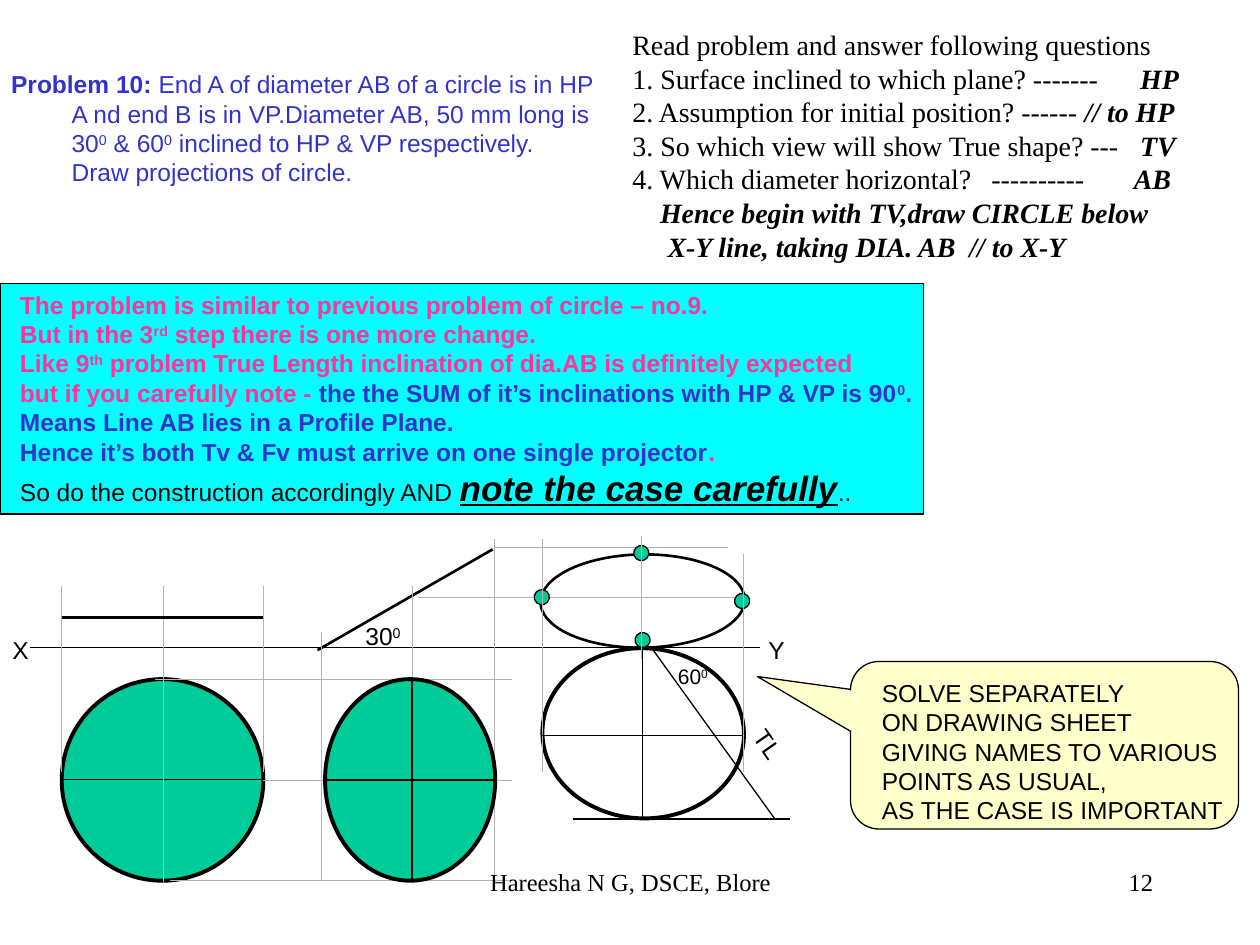
from lxml.etree import SubElement
from pptx import Presentation
from pptx.dml.color import RGBColor
from pptx.enum.shapes import MSO_CONNECTOR as Connector, MSO_SHAPE as Shape
from pptx.enum.text import PP_ALIGN as Align
from pptx.oxml.ns import qn
from pptx.util import Inches, Pt

BLACK = RGBColor(0x00, 0x00, 0x00)
WHITE = RGBColor(0xFF, 0xFF, 0xFF)
GREY = RGBColor(0xB2, 0xB2, 0xB2)
BLUE = RGBColor(0x33, 0x33, 0xCC)
PINK = RGBColor(0xFF, 0x33, 0x99)
CYAN = RGBColor(0x00, 0xFF, 0xFF)
GREEN = RGBColor(0x00, 0xCC, 0x99)
CREAM = RGBColor(0xFF, 0xFF, 0xCC)

SUPER = {"superscript": True}
ANSWER = {"bold": True, "italic": True}
NOTE_BLUE = {"color": BLUE}
PLAIN = {"color": BLACK, "bold": False}
STRESS = {"color": BLACK, "size": 20, "italic": True, "underline": True}

# Each paragraph is a list of runs: plain text or (text, format)
PROBLEM = [
    [("Problem 10: ", {"bold": True}), "End A of diameter AB of a circle is in HP"],
    ["A nd end B is in VP.Diameter AB, 50 mm long is"],
    ["30", ("0", SUPER), " & 60", ("0", SUPER), " inclined to HP & VP respectively."],
    ["Draw projections of circle."],
]
QUESTIONS = [
    ["Read problem and answer following questions"],
    ["1. Surface inclined to which plane? -------\t", ("HP", ANSWER)],
    ["2. Assumption for initial position? ------ ", ("// to HP", ANSWER)],
    ["3. So which view will show True shape? ---\t", ("TV", ANSWER)],
    ["4. Which diameter horizontal?\t----------\t", ("AB", ANSWER)],
    [("Hence begin with TV,draw CIRCLE below", ANSWER)],
    [("X-Y line, taking DIA. AB  // to X-Y", ANSWER)],
]
NOTE = [
    ["The problem is similar to previous problem of circle – no.9."],
    ["But in the 3", ("rd", SUPER), " step there is one more change."],
    ["Like 9", ("th", SUPER),
     " problem True Length inclination of dia.AB is definitely expected"],
    ["but if you carefully note - ",
     ("the the SUM of it’s inclinations with HP & VP is 90", NOTE_BLUE),
     ("0", NOTE_BLUE | SUPER), (".", NOTE_BLUE)],
    [("Means Line AB lies in a Profile Plane.", NOTE_BLUE)],
    [("Hence it’s both Tv & Fv must arrive on one single projector", NOTE_BLUE), "."],
    [("So do the construction accordingly AND ", PLAIN),
     ("note the case carefully", STRESS), ("..", PLAIN)],
]
ADVICE = [["SOLVE SEPARATELY"], ["ON DRAWING SHEET"], ["GIVING NAMES TO VARIOUS"],
          ["POINTS AS USUAL,"], ["AS THE CASE IS IMPORTANT"]]

# Levels shared by the views
XY, TOP, MIDDLE, BOTTOM = 5.14, 5.39, 6.19, 6.99


def add_run(paragraph, text, style):
    run = paragraph.add_run()
    run.text = text
    values = {"name": style["name"], "size": Pt(style["size"])}
    values |= {key: style[key] for key in ("bold", "italic", "underline") if key in style}
    for key, value in values.items():
        setattr(run.font, key, value)
    run.font.color.rgb = style["color"]
    if style.get("superscript"):
        run.font._element.set("baseline", "30000")


def add_text(shapes, box, paragraphs, align=Align.LEFT, wrap=False, rotation=0,
             indents=None, tabs=None, **formats):
    """Place a text box; indents and tabs map a paragraph's index to inches."""
    base = {"name": "Arial", "size": 14, "color": BLACK} | formats
    textbox = shapes.add_textbox(*map(Inches, box))
    textbox.rotation = rotation
    frame = textbox.text_frame
    frame.word_wrap = wrap
    for index, runs in enumerate(paragraphs):
        paragraph = frame.paragraphs[0] if index == 0 else frame.add_paragraph()
        paragraph.alignment = align
        properties = paragraph._p.get_or_add_pPr()
        if indents and index in indents:
            properties.set("marL", str(Inches(indents[index])))
            properties.set("indent", "0")
        if tabs and index in tabs:
            tab_list = SubElement(properties, qn("a:tabLst"))
            for position in tabs[index]:
                SubElement(tab_list, qn("a:tab"), pos=str(Inches(position)), algn="l")
        for run in runs:
            text, style = (run, {}) if isinstance(run, str) else run
            add_run(paragraph, text, base | style)


def add_figure(shapes, kind, box, fill, width=0.75, rotation=0):
    shape = shapes.add_shape(kind, *map(Inches, box))
    shape.shadow.inherit = False
    shape.fill.solid()
    shape.fill.fore_color.rgb = fill
    shape.line.color.rgb = BLACK
    shape.line.width = Pt(width)
    shape.rotation = rotation
    return shape


def add_lines(shapes, color, width, segments):
    for segment in segments:
        line = shapes.add_connector(Connector.STRAIGHT, *map(Inches, segment))
        line.line.color.rgb = color
        line.line.width = Pt(width)
        SubElement(line._element.spPr, qn("a:effectLst"))


def add_notes(shapes):
    note = shapes.add_group_shape().shapes
    add_figure(note, Shape.RECTANGLE, (0, 2.25, 7.33, 1.83), CYAN)
    add_text(note, (0.06, 2.25, 7.35, 1.84), NOTE, color=PINK, bold=True)

    advice = shapes.add_group_shape().shapes
    callout = add_figure(advice, Shape.ROUNDED_RECTANGULAR_CALLOUT,
                         (6.75, 5.25, 3.08, 1.33), CREAM)
    for index, value in enumerate((-0.74, -0.41, 0.17)):
        callout.adjustments[index] = value
    add_text(advice, (6.9, 5.33, 2.98, 1.27), ADVICE)


def add_first_views(shapes):
    """Circle parallel to HP, then the front view tilted by 30 degrees."""
    add_figure(shapes, Shape.OVAL, (0.49, TOP, 1.6, 1.6), GREEN, 2.25)
    add_lines(shapes, BLACK, 0.5, [(0.49, MIDDLE, 2.09, MIDDLE)])
    add_lines(shapes, GREY, 0.5, [(1.3, 5.4, 1.3, 7)])
    add_lines(shapes, BLACK, 0.75, [(0.24, XY, 6.03, XY)])
    add_lines(shapes, GREY, 0.5, [(x, bottom, x, 4.65) for x, bottom in
                                  ((0.49, 6.13), (2.09, 6.13), (1.3, TOP))])
    add_lines(shapes, BLACK, 1.5, [(0.49, 4.9, 2.09, 4.9), (2.52, 5.16, 3.91, 4.36)])
    # Projectors of the second view
    add_lines(shapes, GREY, 0.25, [(x, top, x, BOTTOM) for x, top in
                                   ((3.92, 4.28), (3.27, 4.65), (2.55, 5.02))])
    add_lines(shapes, GREY, 0.25, [(left, y, 4.06, y) for left, y in
                                   ((1.23, TOP), (2.09, MIDDLE), (1.35, BOTTOM))])
    add_figure(shapes, Shape.OVAL, (2.58, TOP, 1.35, 1.6), GREEN, 2.25)
    add_lines(shapes, BLACK, 0.75, [(3.27, TOP, 3.27, BOTTOM),
                                    (2.58, MIDDLE, 3.93, MIDDLE)])


def add_final_views(shapes):
    """Both views of the circle on one projector, with the true length."""
    add_figure(shapes, Shape.OVAL, (4.43, 5.02, 1.35, 1.6), WHITE, 2.25, 272.1)
    add_lines(shapes, GREY, 0.25, [(3.93, 4.34, 5.78, 4.34), (3.32, 4.74, 5.9, 4.74)])
    for left, top in ((4.24, 4.68), (5.04, 5.02), (5.83, 4.71), (5.03, 4.33)):
        add_figure(shapes, Shape.OVAL, (left, top, 0.12, 0.12), GREEN, rotation=12.2)
    add_lines(shapes, GREY, 0.25, [(4.3, 6.13, 4.3, 4.28), (5.9, 6.13, 5.9, 4.4)])
    add_lines(shapes, BLACK, 0.75, [(4.3, 5.84, 5.9, 5.84), (5.1, XY, 5.1, 6.5),
                                    (5.17, XY, 6.15, 6.5), (6.27, 6.5, 4.55, 6.5)])
    add_lines(shapes, GREY, 0.75, [(5.09, 4.25, 5.09, 5.23)])


def add_labels(shapes):
    add_text(shapes, (5.88, 5.74, 0.43, 0.34), [["TL"]], rotation=55)
    for left, letter in ((0, "X"), (6, "Y")):
        add_text(shapes, (left, 4.99, 0.33, 0.34), [[letter]])
    for box, angle, size in (((2.8, 4.88, 0.48, 0.34), "30", 14),
                             ((5.28, 5.22, 0.44, 0.3), "60", 12)):
        add_text(shapes, box, [[angle, ("0", SUPER)]], Align.CENTER, size=size)


def main():
    presentation = Presentation()
    presentation.slide_width, presentation.slide_height = Inches(10), Inches(7.5)
    slide = presentation.slides.add_slide(presentation.slide_layouts[6])
    shapes = slide.shapes

    # Problem and notes
    add_text(shapes, (-0.01, 0.5, 4.9, 1.04), PROBLEM, color=BLUE,
             indents=dict.fromkeys((1, 2, 3), 0.48))
    add_notes(shapes)

    # Construction
    add_figure(shapes, Shape.OVAL, (4.29, 4.4, 1.62, 0.74), WHITE, 1.5, 359.2)
    add_first_views(shapes)
    add_final_views(shapes)
    add_labels(shapes)

    # Questions and footer
    serif = {"name": "Times New Roman", "wrap": True}
    add_text(shapes, (4.92, 0.17, 4.75, 1.97), QUESTIONS, size=16, **serif,
             indents={5: 0.22, 6: 0.28},
             tabs={1: [4.03], 3: [4.03], 4: [2.85, 3.98]})
    add_text(shapes, (7.17, 6.83, 2.08, 0.5), [["12"]], Align.RIGHT, **serif)
    add_text(shapes, (3.42, 6.83, 3.17, 0.5), [["Hareesha N G, DSCE, Blore"]],
             Align.CENTER, **serif)

    presentation.save("out.pptx")


if __name__ == "__main__":
    main()
